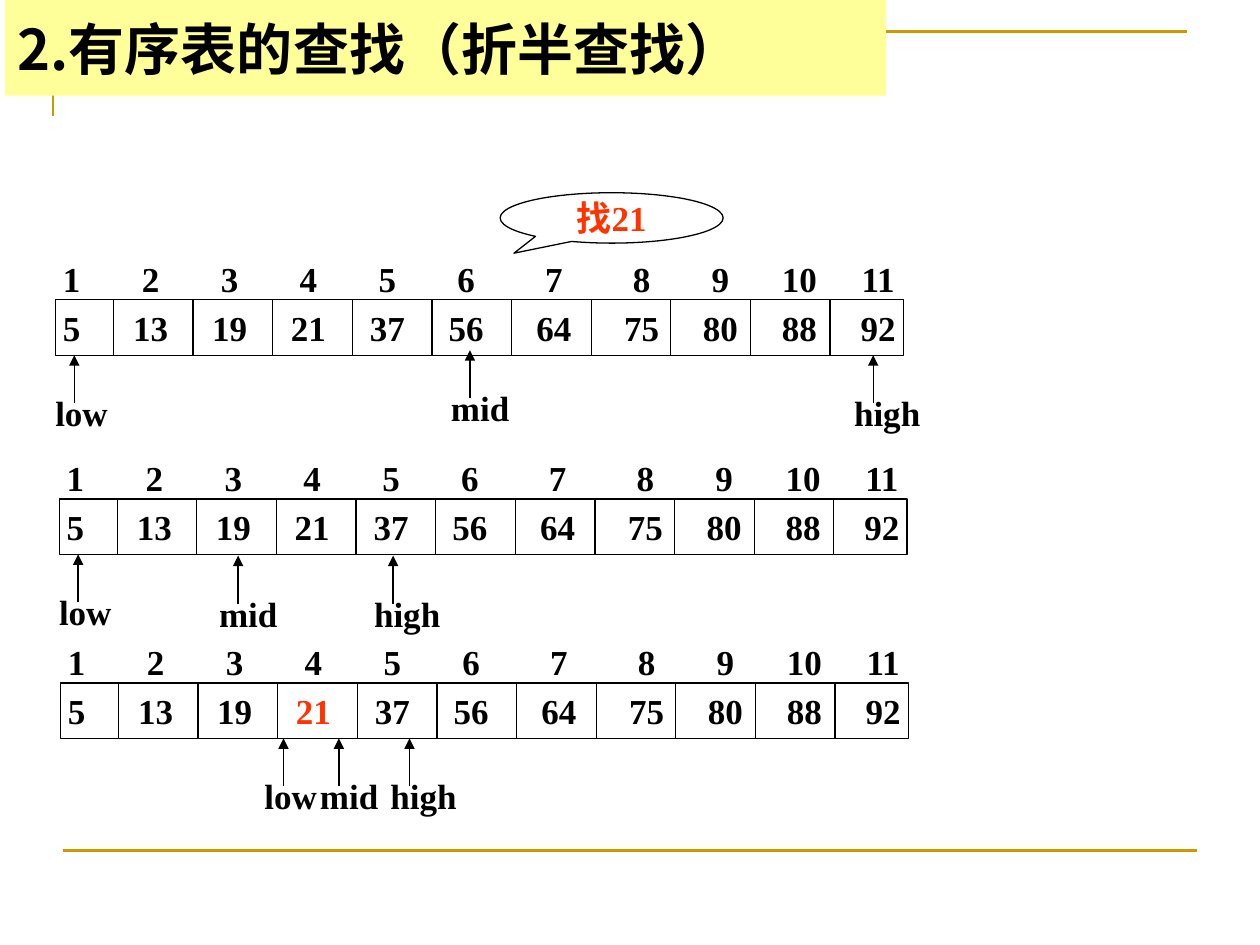
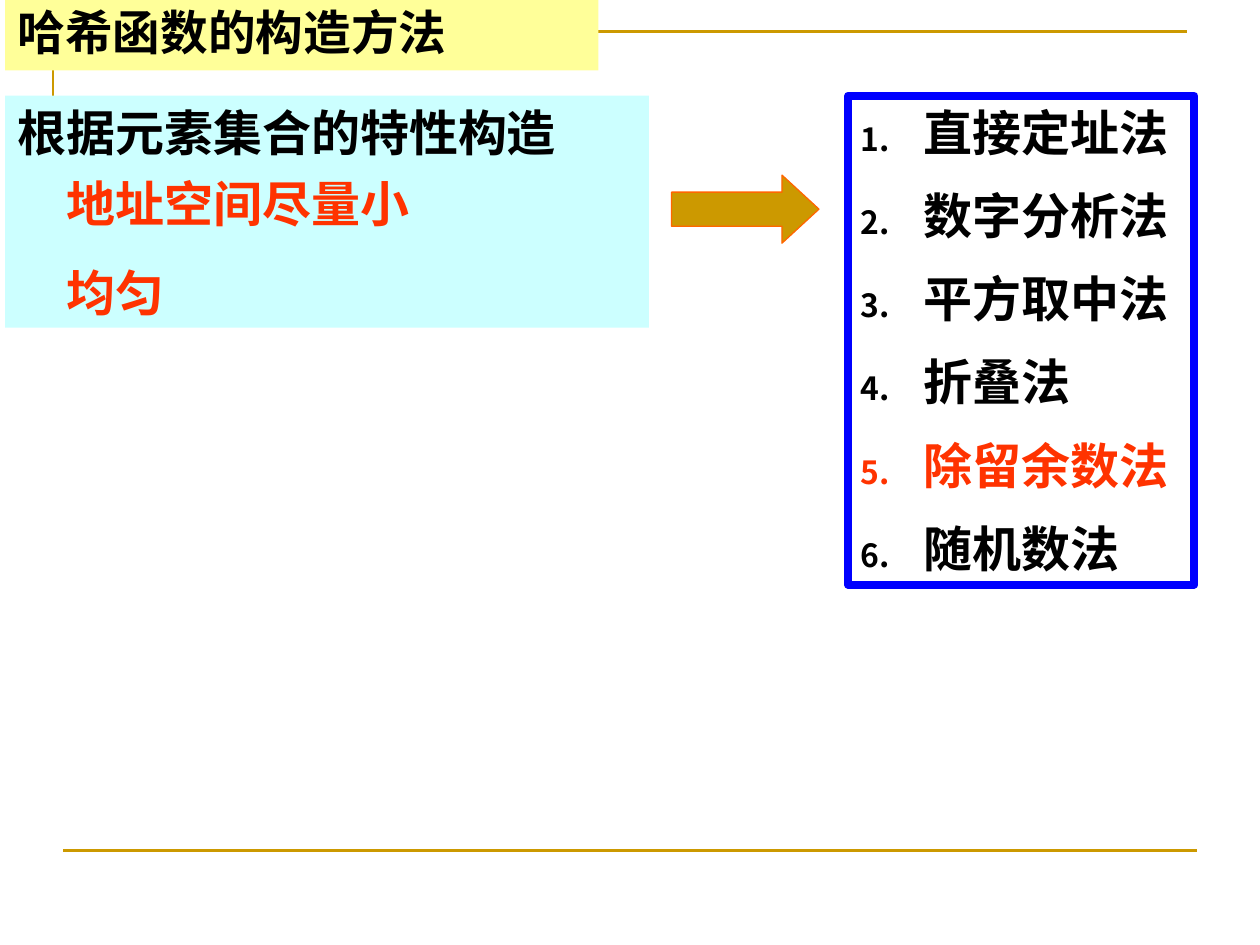
from dataclasses import dataclass

from lxml import etree
from pptx import Presentation
from pptx.dml.color import RGBColor
from pptx.enum.shapes import MSO_CONNECTOR, MSO_SHAPE
from pptx.enum.text import MSO_ANCHOR, MSO_AUTO_SIZE, PP_ALIGN
from pptx.oxml.ns import qn
from pptx.util import Inches, Pt

STRAIGHT = MSO_CONNECTOR.STRAIGHT
RECTANGLE = MSO_SHAPE.RECTANGLE
CALLOUT = MSO_SHAPE.OVAL_CALLOUT
RIGHT_ARROW = MSO_SHAPE.RIGHT_ARROW
TOP, MIDDLE = MSO_ANCHOR.TOP, MSO_ANCHOR.MIDDLE
LEFT, CENTER = PP_ALIGN.LEFT, PP_ALIGN.CENTER
NO_AUTOFIT = MSO_AUTO_SIZE.NONE


@dataclass(frozen=True)
class Theme:
    ink: str = "000000"
    accent: str = "FF3300"
    gold: str = "CC9900"
    arrow_edge: str = "FF6600"
    title_band: str = "FFFF99"
    note_band: str = "CCFFFF"
    list_frame: str = "0000FF"
    sans: str = "Noto Sans CJK SC"
    serif: str = "Times New Roman"
    title_size: float = 32
    small_title_size: float = 27.2
    list_size: float = 28
    list_line: float = 33.6
    diagram_size: float = 20
    thin: float = 0.75
    rule: float = 1.5
    thick: float = 4.5


THEME = Theme()
VALUES = (5, 13, 19, 21, 37, 56, 64, 75, 80, 88, 92)
TARGET = 21
ARRAY_WIDTH, ARRAY_HEIGHT = 6.73, 0.44
FIRST_DIVIDER, CELL_PITCH = 0.46, 0.632
NUMBER_PITCH, WIDE_PITCH, WIDE_GAPS = 0.626, 0.696, (6, 7)

SEARCH_STEPS = (
    (0.44, 2.38, False, (("low", 0.15, 0), ("mid", 3.29, -0.04), ("high", 6.49, 0))),
    (0.47, 3.96, False, (("low", 0.15, 0), ("mid", 1.42, 0.01), ("high", 2.65, 0.01))),
    (0.48, 5.42, True, (("low", 1.77, 0), ("mid", 2.21, 0), ("high", 2.77, 0))),
)
METHODS = ("直接定址法", "数字分析法", "平方取中法", "折叠法", "除留余数法", "随机数法")
KEY_METHOD = "除留余数法"


def inches(*lengths):
    return [Inches(length) for length in lengths]


def place(shape, box):
    shape.left, shape.top, shape.width, shape.height = inches(*box)


def add_run(paragraph, text, size, color=THEME.ink, font=THEME.sans):
    run = paragraph.add_run()
    run.text = text
    run.font.size = Pt(size)
    run.font.bold = True
    run.font.name = font
    run.font.color.rgb = RGBColor.from_string(color)
    etree.SubElement(run._r.get_or_add_rPr(), qn("a:ea"), typeface=THEME.sans)


def fit_frame(frame, anchor=TOP, wrap=True):
    frame.auto_size = NO_AUTOFIT
    frame.word_wrap = wrap
    frame.vertical_anchor = anchor
    frame.margin_left = frame.margin_right = Inches(0.1)
    frame.margin_top = frame.margin_bottom = Inches(0.05)


def paint(shape, fill=None, line=None, width=THEME.thin):
    if fill:
        shape.fill.solid()
        shape.fill.fore_color.rgb = RGBColor.from_string(fill)
    else:
        shape.fill.background()
    if line:
        shape.line.color.rgb = RGBColor.from_string(line)
        shape.line.width = Pt(width)
    else:
        shape.line.fill.background()


def add_figure(slide, preset, box, **colors):
    figure = slide.shapes.add_shape(preset, *inches(*box))
    figure.shadow.inherit = False
    paint(figure, **colors)
    return figure


def add_line(slide, start, end, color=THEME.ink, width=THEME.thin, arrow=False):
    line = slide.shapes.add_connector(STRAIGHT, *inches(*start, *end))
    line.line.color.rgb = RGBColor.from_string(color)
    line.line.width = Pt(width)
    if arrow:
        etree.SubElement(line.line._get_or_add_ln(), qn("a:tailEnd"), type="triangle")
    etree.SubElement(line.element.spPr, qn("a:effectLst"))
    return line


def add_master_rules(master, slide):
    corner = slide.shapes.build_freeform(*inches(0.42, 0.92))
    corner.add_line_segments([inches(0.42, 0.25), inches(9.42, 0.25)], close=False)
    top_rule = corner.convert_to_shape()
    top_rule.shadow.inherit = False
    paint(top_rule, line=THEME.gold, width=THEME.rule)
    bottom_rule = add_line(slide, (0.5, 6.75), (9.5, 6.75), THEME.gold, THEME.rule)
    for number, rule in enumerate((top_rule, bottom_rule), 101):
        rule.element.xpath(".//p:cNvPr")[0].set("id", str(number))
        master.shapes.element.append(rule.element)


def set_title(slide, text, box, size, line_spacing=1.0):
    title = slide.shapes.title
    place(title, box)
    paint(title, fill=THEME.title_band)
    fit_frame(title.text_frame, MIDDLE)
    paragraph = title.text_frame.paragraphs[0]
    paragraph.alignment = LEFT
    paragraph.line_spacing = line_spacing
    add_run(paragraph, text, size)


def add_number_row(frame, numbers, highlight=None):
    fit_frame(frame, MIDDLE)
    frame.margin_left, frame.margin_right = inches(0.06, 0)
    paragraph = frame.paragraphs[0]
    paragraph.alignment = LEFT
    tabs = etree.SubElement(paragraph._p.get_or_add_pPr(), qn("a:tabLst"))
    position = 0.07
    for index, number in enumerate(numbers):
        if index:
            position += WIDE_PITCH if index + 1 in (7, 8) else NUMBER_PITCH
            etree.SubElement(tabs, qn("a:tab"), pos=str(Inches(position)), algn="ctr")
        color = THEME.accent if number == highlight else THEME.ink
        text = f"\t{number}" if index else str(number)
        add_run(paragraph, text, THEME.diagram_size, color, THEME.serif)


def add_pointer(slide, label, x, tip):
    base = tip + 0.38
    add_line(slide, (x, base), (x, tip), arrow=True)
    caption = slide.shapes.add_textbox(*inches(x - 0.25, base - 0.14, 0.72, 0.44))
    fit_frame(caption.text_frame, wrap=False)
    add_run(caption.text_frame.paragraphs[0], label, THEME.diagram_size, font=THEME.serif)


def add_search_step(slide, left, top, found, pointers):
    indices = slide.shapes.add_textbox(*inches(left, top - 0.39, ARRAY_WIDTH, 0.44))
    add_number_row(indices.text_frame, range(1, len(VALUES) + 1))
    bottom = top + ARRAY_HEIGHT
    array = add_figure(slide, RECTANGLE, (left, top, ARRAY_WIDTH, ARRAY_HEIGHT), line=THEME.ink)
    add_number_row(array.text_frame, VALUES, TARGET if found else None)
    for cell in range(len(VALUES) - 1):
        x = left + FIRST_DIVIDER + cell * CELL_PITCH
        add_line(slide, (x, top), (x, bottom))
    for label, offset, drop in pointers:
        add_pointer(slide, label, left + offset, bottom + drop)


def add_target_callout(slide, box):
    callout = add_figure(slide, CALLOUT, box, line=THEME.ink)
    callout.adjustments[0], callout.adjustments[1] = -0.438, 0.7
    fit_frame(callout.text_frame, MIDDLE, wrap=False)
    paragraph = callout.text_frame.paragraphs[0]
    paragraph.alignment = CENTER
    add_run(paragraph, f"找{TARGET}", THEME.diagram_size, THEME.accent, THEME.serif)


def add_list_item(frame, index, text, color, space, indent, numbered=False):
    paragraph = frame.add_paragraph() if index else frame.paragraphs[0]
    properties = paragraph._p.get_or_add_pPr()
    properties.set("marL", str(Inches(indent)))
    properties.set("indent", str(Inches(-indent if numbered else 0)))
    if numbered:
        bullet_color = etree.SubElement(properties, qn("a:buClr"))
        etree.SubElement(bullet_color, qn("a:srgbClr"), val=color)
        etree.SubElement(properties, qn("a:buSzPct"), val="65000")
        etree.SubElement(properties, qn("a:buFont"), typeface=THEME.sans)
        etree.SubElement(properties, qn("a:buAutoNum"), type="arabicPeriod")
    else:
        etree.SubElement(properties, qn("a:buNone"))
    paragraph.alignment = LEFT
    paragraph.line_spacing = Pt(THEME.list_line)
    paragraph.space_before = Pt(space if index else 0)
    add_run(paragraph, text, THEME.list_size, color)


def fill_requirements(body, box):
    place(body, box)
    paint(body, fill=THEME.note_band)
    fit_frame(body.text_frame)
    items = (
        ("根据元素集合的特性构造", THEME.ink, 0, 0),
        ("地址空间尽量小", THEME.accent, 7, 0.39),
        ("均匀", THEME.accent, 17.5, 0.39),
    )
    for index, item in enumerate(items):
        add_list_item(body.text_frame, index, *item)


def fill_methods(body, box):
    place(body, box)
    paint(body, line=THEME.list_frame, width=THEME.thick)
    fit_frame(body.text_frame)
    for index, method in enumerate(METHODS):
        color = THEME.accent if method == KEY_METHOD else THEME.ink
        add_list_item(body.text_frame, index, method, color, 14, 0.5, numbered=True)


def build_search_slide(slide):
    set_title(slide, "2.有序表的查找（折半查找）", (0.04, 0, 6.99, 0.76), THEME.title_size)
    add_target_callout(slide, (3.97, 1.53, 1.77, 0.4))
    for step in SEARCH_STEPS:
        add_search_step(slide, *step)


def build_hash_slide(slide):
    set_title(slide, "哈希函数的构造方法", (0.04, 0, 4.71, 0.56), THEME.small_title_size, 0.9)
    fill_requirements(slide.placeholders[1], (0.04, 0.76, 5.11, 1.84))
    fill_methods(slide.placeholders[2], (6.73, 0.76, 2.75, 3.88))
    arrow = add_figure(slide, RIGHT_ARROW, (5.33, 1.39, 1.17, 0.54),
                       fill=THEME.gold, line=THEME.arrow_edge)
    arrow.adjustments[1] = 0.543


def main():
    deck = Presentation()
    deck.slide_width, deck.slide_height = inches(10, 7.5)
    search_slide = deck.slides.add_slide(deck.slide_layouts[5])
    add_master_rules(deck.slide_master, search_slide)
    build_search_slide(search_slide)
    build_hash_slide(deck.slides.add_slide(deck.slide_layouts[3]))
    deck.save("out.pptx")


if __name__ == "__main__":
    main()
